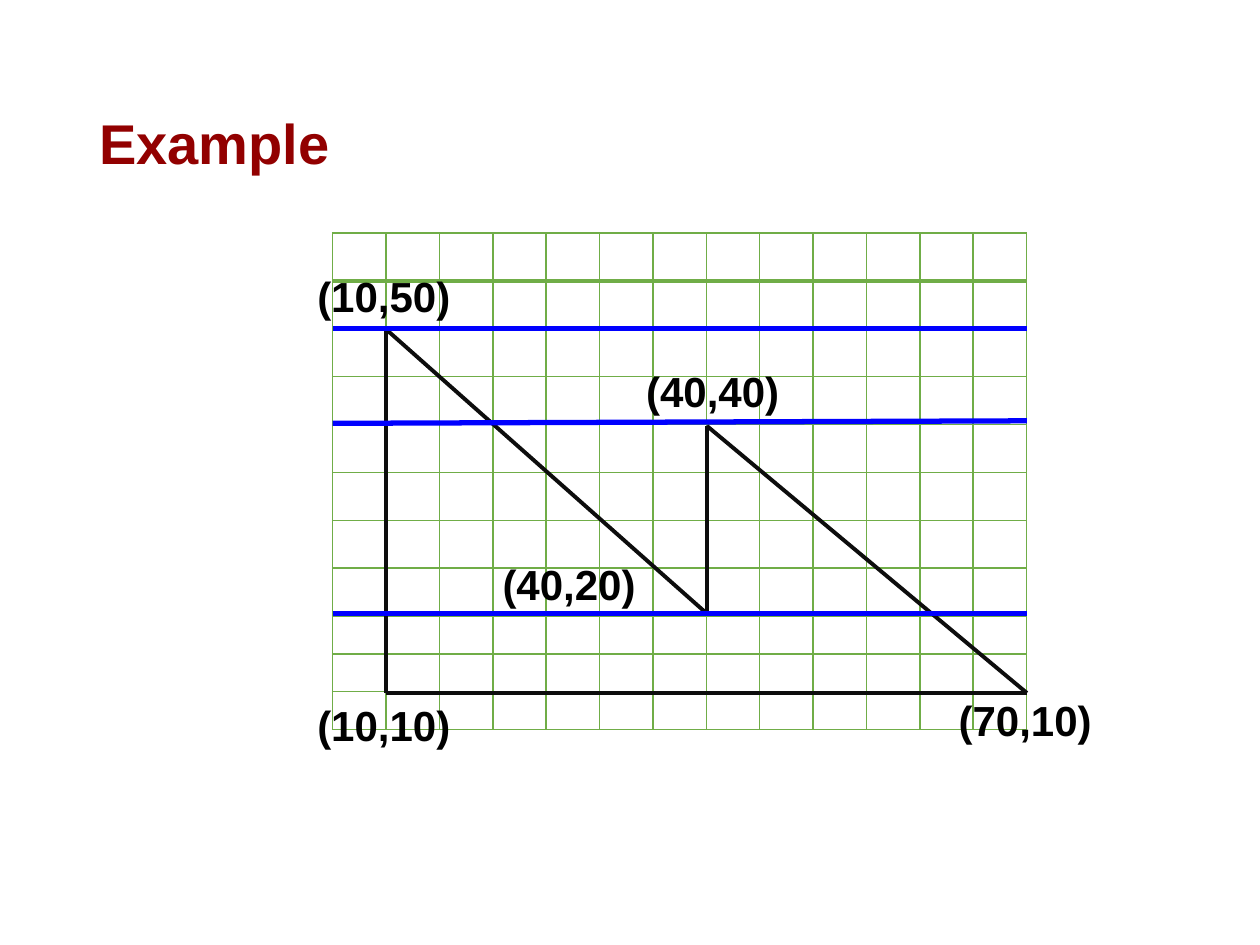
from pptx import Presentation
from pptx.dml.color import RGBColor
from pptx.enum.shapes import MSO_CONNECTOR
from pptx.enum.text import MSO_ANCHOR
from pptx.oxml import parse_xml
from pptx.oxml.ns import nsdecls
from pptx.util import Inches, Pt

STRAIGHT = MSO_CONNECTOR.STRAIGHT
MIDDLE, TOP = MSO_ANCHOR.MIDDLE, MSO_ANCHOR.TOP

THEME = {
    "font": "Arial", "title": "920000", "text": "000000", "grid": "70AD47",
    "edge": "0D0D0D", "scan": "0000FF",
    "title_size": 32, "label_size": 24, "edge_width": 2.25, "scan_width": 3,
}

deck = Presentation()
deck.slide_width, deck.slide_height = Inches(10), Inches(7.5)
slide = deck.slides.add_slide(deck.slide_layouts[6])
shapes = slide.shapes


def add_text(text, box, size, color, anchor=TOP, wrap=False):
    frame = shapes.add_textbox(*map(Inches, box)).text_frame
    frame.word_wrap = wrap
    frame.vertical_anchor = anchor
    run = frame.paragraphs[0].add_run()
    run.text = text
    font = run.font
    font.name, font.size, font.bold = THEME["font"], Pt(size), True
    font.color.rgb = RGBColor.from_string(color)


def add_line(start, end, color, width):
    line = shapes.add_connector(STRAIGHT, *map(Inches, start + end))
    line.line.color.rgb = RGBColor.from_string(color)
    line.line.width = Pt(width)
    line._element.spPr.append(parse_xml(f"<a:effectLst {nsdecls('a')}/>"))


# Title
add_text("Example", (0.69, 0.4, 8.62, 1.45), THEME["title_size"],
         THEME["title"], MIDDLE, True)

# Grid: eight tall rows, three short ones
heights = [0.38] * 8 + [0.3] * 3
cols, left, top, width = 13, 2.64, 1.85, 5.51
grid = shapes.add_table(len(heights), cols, Inches(left), Inches(top),
                        Inches(width), Inches(sum(heights))).table
grid.first_row = grid.horz_banding = False
for col in grid.columns:
    col.width = Inches(width / cols)
for i, height in enumerate(heights):
    grid.rows[i].height = Inches(height)
    for cell in grid.rows[i].cells:
        cell.margin_top = cell.margin_bottom = 0
        cell.text_frame.paragraphs[0]._p.append(
            parse_xml(f'<a:endParaRPr {nsdecls("a")} sz="1200"/>'))
        props = cell._tc.get_or_add_tcPr()
        for side in "LRTB":
            # The rule under the first row is heavier
            heavy = (i, side) in ((0, "B"), (1, "T"))
            props.append(parse_xml(
                f'<a:ln{side} {nsdecls("a")} w="{Pt(2 if heavy else 1)}">'
                f'<a:solidFill><a:srgbClr val="{THEME["grid"]}"/></a:solidFill>'
                f'</a:ln{side}>'))
        cell.fill.background()

# Polygon edges
base, peak = (3.06, 5.5), (3.06, 2.61)
notch, crest, corner = (5.61, 4.87), (5.61, 3.38), (8.15, 5.5)
for start, end in ((base, peak), (base, corner), (notch, peak),
                   (notch, crest), (corner, crest)):
    add_line(start, end, THEME["edge"], THEME["edge_width"])

# Vertex labels
for text, x, y in (("(10,10)", 2.42, 5.5), ("(10,50)", 2.42, 2.1),
                   ("(70,10)", 7.51, 5.46), ("(40,20)", 3.89, 4.38),
                   ("(40,40)", 5.03, 2.85)):
    add_text(text, (x, y, 1.27, 0.5), THEME["label_size"], THEME["text"])

# Scan lines
for y, end in ((4.87, 4.87), (3.36, 3.34), (2.61, 2.61)):
    add_line((left, y), (left + width, end), THEME["scan"], THEME["scan_width"])

deck.save("out.pptx")
